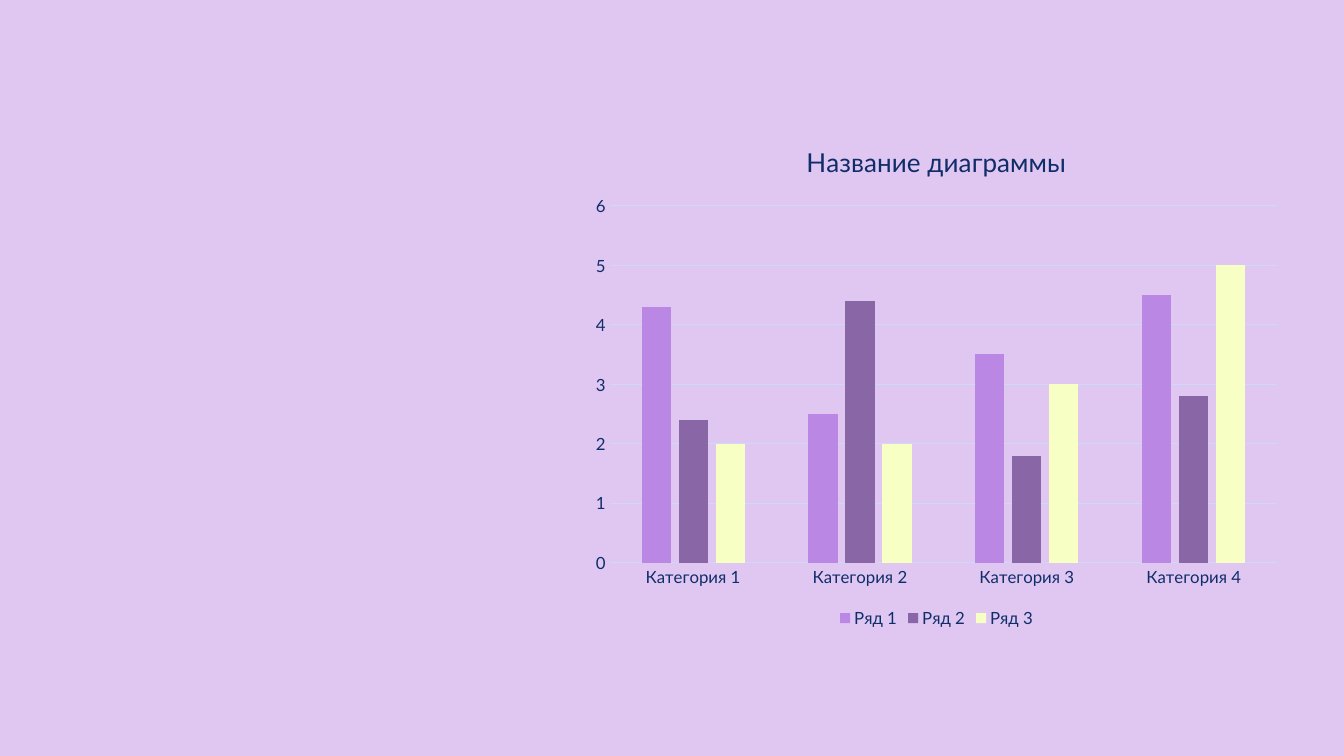
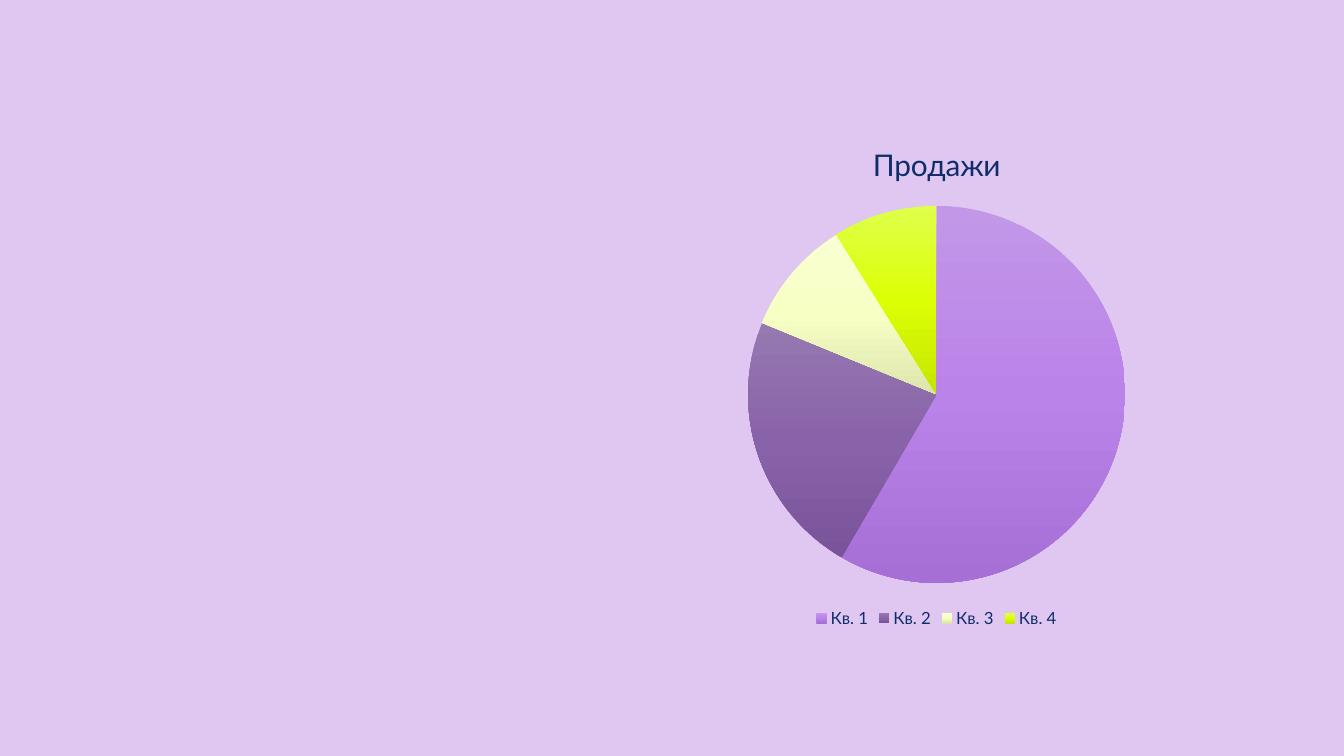
from copy import deepcopy
from dataclasses import dataclass

from pptx import Presentation
from pptx.chart.data import CategoryChartData
from pptx.dml.color import RGBColor
from pptx.enum.chart import XL_CHART_TYPE as ChartType
from pptx.enum.chart import XL_LEGEND_POSITION as LegendPosition
from pptx.enum.chart import XL_TICK_MARK as TickMark
from pptx.oxml.ns import qn
from pptx.util import Emu, Pt


@dataclass(frozen=True)
class Theme:
    background: str = "DFC7F2"
    ink: str = "102D69"
    rule: str = "CCDAF7"
    series: tuple = ("BA88E4", "8966A6", "F7FFC5")
    slices: tuple = (
        ("C297E8", "BA83E9", "A66FD5"),
        ("9679B0", "8963A9", "7A549A"),
        ("F9FFD1", "F7FFC5", "DDE5AD"),
        ("DFFF4B", "DCFF05", "C5E502"),
    )
    font: str = "Lato"
    label_size: float = 12
    column_title_size: float = 18.6
    pie_title_size: float = 21.3
    rule_width: float = 0.75


theme = Theme()
PX = 9525
CHART_BOX = [Emu(length * PX) for length in (554, 117, 676, 485)]


def write_text(paragraph, text, *, size, color=theme.ink, font=theme.font, bold=False):
    run = paragraph.add_run()
    run.text = text
    run.font.size = Pt(size)
    run.font.name = font
    run.font.bold = bold
    run.font.color.rgb = RGBColor.from_string(color)


def add_chart_slide(chart_type, categories, series, title, title_size):
    slide = presentation.slides.add_slide(presentation.slide_layouts[6])
    slide.background.fill.solid()
    slide.background.fill.fore_color.rgb = RGBColor.from_string(theme.background)
    data = CategoryChartData()
    data.categories = categories
    for name, values in series:
        data.add_series(name, values)
    chart = slide.shapes.add_chart(chart_type, *CHART_BOX, data).chart
    chart.font.name = theme.font
    chart.font.size = Pt(theme.label_size)
    chart.font.color.rgb = RGBColor.from_string(theme.ink)
    chart.has_title = True
    chart.chart_title.include_in_layout = False
    write_text(chart.chart_title.text_frame.paragraphs[0], title, size=title_size)
    chart.has_legend = True
    chart.legend.position = LegendPosition.BOTTOM
    chart.legend.include_in_layout = False
    return chart


presentation = Presentation()
presentation.slide_width = Emu(1280 * PX)
presentation.slide_height = Emu(720 * PX)

column_chart = add_chart_slide(
    ChartType.COLUMN_CLUSTERED,
    [f"Категория {number}" for number in range(1, 5)],
    [
        ("Ряд 1", (4.3, 2.5, 3.5, 4.5)),
        ("Ряд 2", (2.4, 4.4, 1.8, 2.8)),
        ("Ряд 3", (2, 2, 3, 5)),
    ],
    "Название диаграммы",
    theme.column_title_size,
)
column_plot = column_chart.plots[0]
column_plot.vary_by_categories = False
column_plot.gap_width = 219
column_plot.overlap = -27
for series, color in zip(column_plot.series, theme.series):
    series.format.fill.solid()
    series.format.fill.fore_color.rgb = RGBColor.from_string(color)

category_axis, value_axis = column_chart.category_axis, column_chart.value_axis
for axis in (category_axis, value_axis):
    axis.major_tick_mark = TickMark.NONE
    axis.minor_tick_mark = TickMark.NONE
value_axis.minimum_scale = 0
value_axis.maximum_scale = 6
value_axis.major_unit = 1
value_axis.has_major_gridlines = True
value_axis.format.line.fill.background()
for line in (category_axis.format.line, value_axis.major_gridlines.format.line):
    line.color.rgb = RGBColor.from_string(theme.rule)
    line.width = Pt(theme.rule_width)

pie_chart = add_chart_slide(
    ChartType.PIE,
    [f"Кв. {number}" for number in range(1, 5)],
    [("Продажи", (59, 23, 10, 9))],
    "Продажи",
    theme.pie_title_size,
)
pie_plot = pie_chart.plots[0]
pie_plot.vary_by_categories = True
for index, colors in enumerate(theme.slices):
    slice_format = pie_plot.series[0].points[index].format
    slice_format.line.fill.background()
    fill = slice_format.fill
    fill.gradient()
    fill.gradient_angle = 270
    stop_list = list(pie_chart.element.iter(qn("a:gsLst")))[-1] if hasattr(pie_chart, "element") else list(pie_chart._chartSpace.iter(qn("a:gsLst")))[-1]
    stop_list.insert(1, deepcopy(stop_list[0]))
    for stop, color, position in zip(fill.gradient_stops, colors, (0, 0.5, 1)):
        stop.color.rgb = RGBColor.from_string(color)
        stop.position = position

presentation.save("out.pptx")
